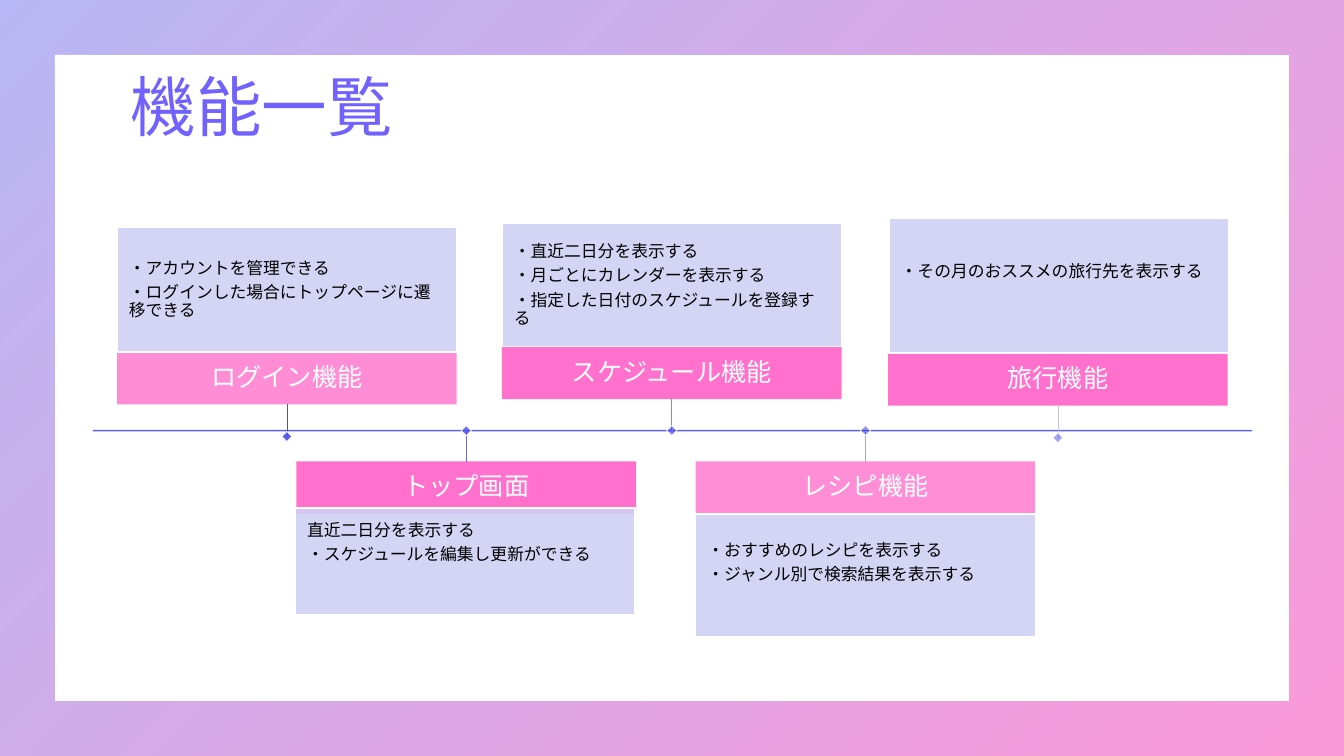
"""Build the feature list slide: cards hung above and below a timeline."""
import pptx
import pptx.util
import pptx.dml.color
import pptx.enum.shapes
import pptx.enum.text
import pptx.oxml.ns
from lxml import etree

Cm, Pt = pptx.util.Cm, pptx.util.Pt
SHAPE = pptx.enum.shapes.MSO_SHAPE
ALIGN = pptx.enum.text.PP_ALIGN
qn = pptx.oxml.ns.qn
FONT = "Noto Sans CJK JP"
COLORS = {
    "title": "7162FE", "blue": "4D4EE6", "rose": "F900A0",
    "pink": "FF71CC", "light": "FF8ED7", "soft": "FF81D2",
    "body": "D0D0F5", "white": "FFFFFF", "black": "000000",
    "stem1": "4A4BDC", "stem2": "6868E2", "stem3": "8686E7",
    "stem4": "A4A4ED", "stem5": "C2C2F3",
}
WIDTH, AXIS, DOT = 8.56, 10.85, 0.18
CARDS = [
    dict(name="ログイン機能", fill="soft", alpha=90, left=2.95, head=(8.89, 1.3),
         side=2.95, body=(5.72, 3.15), dot=11, lift=0,
         lines=["・アカウントを管理できる",
                "・ログインした場合にトップページに遷移できる"]),
    dict(name="トップ画面", fill="pink", alpha=100, left=7.47, head=(11.63, 1.32),
         side=7.44, body=(12.8, 2.69), dot=AXIS, lift=0.94,
         lines=["直近二日分を表示する",
                "・スケジュールを編集し更新ができる"]),
    dict(name="スケジュール機能", fill="pink", alpha=100, left=12.65, head=(8.74, 1.32),
         side=12.65, body=(5.64, 3.1), dot=AXIS, lift=0,
         lines=["・直近二日分を表示する",
                "・月ごとにカレンダーを表示する",
                "・指定した日付のスケジュールを登録する"]),
    dict(name="レシピ機能", fill="light", alpha=100, left=17.53, head=(11.63, 1.32),
         side=17.53, body=(12.95, 3.1), dot=AXIS, lift=0.64,
         lines=["・おすすめのレシピを表示する",
                "・ジャンル別で検索結果を表示する"]),
    dict(name="旅行機能", fill="pink", alpha=100, left=22.38, head=(8.92, 1.3),
         side=22.4, body=(5.51, 3.38), dot=11.03, lift=0.71,
         lines=["・その月のおススメの旅行先を表示する"]),
]


def tint(color, key):
    """Set a colour by its key."""
    color.rgb = pptx.dml.color.RGBColor.from_string(COLORS[key])


def fade(fill, key, alpha):
    """Fill with a solid colour of the given opacity in percent."""
    fill.solid()
    tint(fill.fore_color, key)
    if alpha < 100:
        node = fill._xPr.find(qn("a:solidFill"))[0]
        etree.SubElement(node, qn("a:alpha"), val=str(alpha * 1000))


def write(para, text, size, key):
    """Add one run of text to a paragraph."""
    run = para.add_run()
    run.text = text
    run.font.size = Pt(size)
    run.font.name = FONT
    tint(run.font.color, key)
    etree.SubElement(run._r.get_or_add_rPr(), qn("a:ea"), typeface=FONT)


def block(slide, left, top, width, height, key, alpha, edge=0):
    """Add a filled rectangle, with a white edge if one is asked for."""
    box = slide.shapes.add_shape(SHAPE.RECTANGLE, Cm(left), Cm(top), Cm(width), Cm(height))
    box.shadow.inherit = False
    fade(box.fill, key, alpha)
    if edge:
        box.line.width = Pt(edge)
        tint(box.line.color, "white")
    else:
        box.line.fill.background()
    return box


def fit(box, pad, lift=0):
    """Set the insets of a box and centre its text, raised by lift."""
    frame = box.text_frame
    frame.word_wrap = True
    frame.vertical_anchor = pptx.enum.text.MSO_ANCHOR.MIDDLE
    frame.margin_left = frame.margin_right = frame.margin_top = Cm(pad)
    frame.margin_bottom = Cm(pad + lift)
    return frame


def line(slide, start, end, key, width, alpha=100):
    """Draw a straight line between two points."""
    rule = slide.shapes.add_connector(
        pptx.enum.shapes.MSO_CONNECTOR.STRAIGHT, *[Cm(v) for v in start + end])
    rule.line.width = Pt(width)
    fade(rule.line.fill, key, alpha)
    etree.SubElement(rule._element.spPr, qn("a:effectLst"))


def border(slide):
    """Draw the gradient frame around the slide."""
    frame = slide.shapes.add_shape(SHAPE.FRAME, 0, 0, Cm(33.87), Cm(19.05))
    frame.adjustments[0] = 0.072
    frame.shadow.inherit = False
    frame.line.fill.background()
    frame.fill.gradient()
    frame.fill.gradient_angle = 315
    for stop, key, place in zip(frame.fill.gradient_stops, ("blue", "rose"), (0, 1)):
        stop.position = place
        tint(stop.color, key)
    for node in frame._element.spPr.iter(qn("a:srgbClr")):
        etree.SubElement(node, qn("a:alpha"), val="40000")


def head(slide, text):
    """Place and write the slide title."""
    title = slide.shapes.title
    title.left, title.top, title.width, title.height = Cm(3.05), Cm(1.7), Cm(7.47), Cm(2.18)
    para = fit(title, 0.25).paragraphs[0]
    para.alignment = ALIGN.LEFT
    para.line_spacing = 0.9
    write(para, text, 46.8, "title")


def card(slide, item, rank):
    """Draw a heading, its details, and the stem and dot on the axis."""
    top, high = item["head"]
    label = block(slide, item["left"], top, WIDTH, high, item["fill"], item["alpha"])
    para = fit(label, 0.25).paragraphs[0]
    para.alignment = ALIGN.CENTER
    para.line_spacing = 0.9
    write(para, item["name"], 18, "white")

    top_b, high_b = item["body"]
    panel = block(slide, item["side"], top_b, WIDTH, high_b, "body", 90, 1)
    frame = fit(panel, 0.3, item["lift"])
    for pos, text in enumerate(item["lines"]):
        para = frame.add_paragraph() if pos else frame.paragraphs[0]
        para.alignment = ALIGN.LEFT
        para.line_spacing = Pt(13)
        para.space_after = Pt(4.2)
        write(para, text, 12, "black")

    mid, dot = item["left"] + WIDTH / 2, item["dot"]
    edge = top if top > AXIS else top + high
    line(slide, (mid, edge), (mid, dot), f"stem{rank + 1}", 0.5)
    mark = block(slide, mid - DOT / 2, dot - DOT / 2, DOT, DOT, "blue", 90 - 10 * rank, 0.5)
    mark.rotation = 45


def main():
    """Build and save the slide."""
    deck = pptx.Presentation()
    deck.slide_width, deck.slide_height = Cm(33.87), Cm(19.05)
    slide = deck.slides.add_slide(deck.slide_layouts[5])
    border(slide)
    head(slide, "機能一覧")
    line(slide, (2.34, AXIS), (31.55, AXIS), "blue", 1, 90)
    for rank, item in enumerate(CARDS):
        card(slide, item, rank)
    deck.save("out.pptx")


if __name__ == "__main__":
    main()
